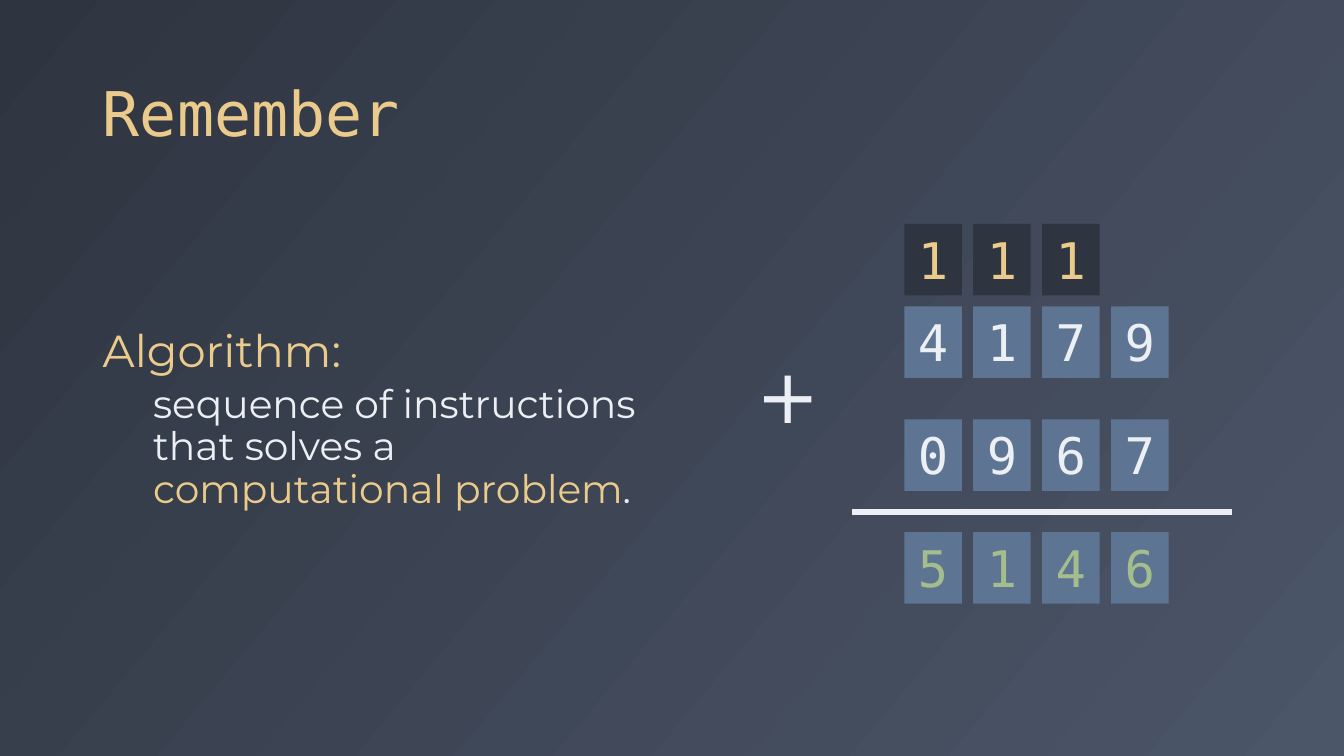
from typing import NamedTuple

import pptx
import pptx.dml.color
import pptx.enum.shapes
import pptx.enum.text
import pptx.oxml.ns
import pptx.slide
import pptx.text.text
import pptx.util
from lxml import etree

Inches = pptx.util.Inches
Pt = pptx.util.Pt
RGBColor = pptx.dml.color.RGBColor
Align = pptx.enum.text.PP_ALIGN
Anchor = pptx.enum.text.MSO_ANCHOR
AutoSize = pptx.enum.text.MSO_AUTO_SIZE

NIGHT = RGBColor(0x2E, 0x34, 0x40)
SLATE = RGBColor(0x4C, 0x56, 0x69)
BLUE = RGBColor(0x5D, 0x74, 0x93)
SNOW = RGBColor(0xEC, 0xEF, 0xF3)
YELLOW = RGBColor(0xEB, 0xCB, 0x8B)
GREEN = RGBColor(0xA3, 0xBE, 0x8C)

MONO = "DejaVu Sans Mono"
SANS = "DejaVu Sans"
BODY = "Montserrat"

TILE_LEFT = 8.97
TILE_PITCH = (11.02 - TILE_LEFT) / 3
TILE_WIDTH = 0.57
TILE_HEIGHT = 0.71


class DigitRow(NamedTuple):
    digits: str
    top: float
    fill: RGBColor
    color: RGBColor


DIGIT_ROWS = [
    DigitRow("111", 2.22, NIGHT, YELLOW),
    DigitRow("4179", 3.04, BLUE, SNOW),
    DigitRow("0967", 4.16, BLUE, SNOW),
    DigitRow("5146", 5.28, BLUE, GREEN),
]


def add_run(paragraph: pptx.text.text._Paragraph, text: str, font: str,
            size: float, color: RGBColor) -> None:
    run = paragraph.add_run()
    run.text = text
    run.font.name = font
    run.font.size = Pt(size)
    run.font.color.rgb = color


def set_background(slide: pptx.slide.Slide) -> None:
    fill = slide.background.fill
    fill.gradient()
    fill.gradient_angle = 320
    for stop, color in zip(fill.gradient_stops, (NIGHT, SLATE)):
        stop.color.rgb = color


def set_title(slide: pptx.slide.Slide) -> None:
    title = slide.shapes.title
    title.left, title.top = Inches(0.92), Inches(0.18)
    title.width, title.height = Inches(11.5), Inches(1.36)
    title.text_frame.vertical_anchor = Anchor.BOTTOM
    paragraph = title.text_frame.paragraphs[0]
    paragraph.alignment = Align.LEFT
    paragraph.line_spacing = 0.9
    add_run(paragraph, "Remember", MONO, 44, YELLOW)


def add_definition(slide: pptx.slide.Slide) -> None:
    shape = slide.shapes.add_textbox(Inches(0.92), Inches(2), Inches(5.51), Inches(4.34))
    frame = shape.text_frame
    frame.word_wrap = True
    frame.vertical_anchor = Anchor.MIDDLE
    term = frame.paragraphs[0]
    term.line_spacing = 0.9
    add_run(term, "Algorithm:", BODY, 32, YELLOW)

    meaning = frame.add_paragraph()
    meaning.level = 1
    properties = meaning._p.get_or_add_pPr()
    properties.set("marL", str(Inches(0.5)))
    properties.set("indent", "0")
    meaning.line_spacing = 0.9
    meaning.space_before = Pt(5)
    add_run(meaning, "sequence of instructions that solves a ", BODY, 28, SNOW)
    add_run(meaning, "computational problem", BODY, 28, YELLOW)
    add_run(meaning, ".", BODY, 28, SNOW)


def add_digit_row(slide: pptx.slide.Slide, row: DigitRow) -> None:
    for column, digit in enumerate(row.digits):
        shape = slide.shapes.add_shape(
            pptx.enum.shapes.MSO_SHAPE.RECTANGLE,
            Inches(TILE_LEFT + column * TILE_PITCH), Inches(row.top),
            Inches(TILE_WIDTH), Inches(TILE_HEIGHT))
        shape.shadow.inherit = False
        shape.fill.solid()
        shape.fill.fore_color.rgb = row.fill
        shape.line.fill.background()
        frame = shape.text_frame
        frame.word_wrap = True
        frame.auto_size = AutoSize.SHAPE_TO_FIT_TEXT
        frame.vertical_anchor = Anchor.TOP
        paragraph = frame.paragraphs[0]
        paragraph.alignment = Align.CENTER
        add_run(paragraph, digit, MONO, 36, row.color)


def add_plus(slide: pptx.slide.Slide) -> None:
    shape = slide.shapes.add_textbox(Inches(7.4), Inches(3.4), Inches(0.82), Inches(1.01))
    shape.text_frame.word_wrap = False
    shape.text_frame.auto_size = AutoSize.SHAPE_TO_FIT_TEXT
    add_run(shape.text_frame.paragraphs[0], "+", SANS, 54, SNOW)


def add_sum_line(slide: pptx.slide.Slide) -> None:
    connector = slide.shapes.add_connector(
        pptx.enum.shapes.MSO_CONNECTOR.STRAIGHT,
        Inches(8.45), Inches(5.08), Inches(12.22), Inches(5.08))
    connector.line.color.rgb = SNOW
    connector.line.width = Pt(4.5)
    etree.SubElement(connector._element.spPr, pptx.oxml.ns.qn("a:effectLst"))


def main() -> None:
    presentation = pptx.Presentation()
    presentation.slide_width = Inches(13.33)
    presentation.slide_height = Inches(7.5)
    slide = presentation.slides.add_slide(presentation.slide_layouts.get_by_name("Title Only"))
    set_background(slide)
    set_title(slide)
    add_definition(slide)
    for row in DIGIT_ROWS:
        add_digit_row(slide, row)
    add_plus(slide)
    add_sum_line(slide)
    presentation.save("out.pptx")


if __name__ == "__main__":
    main()
